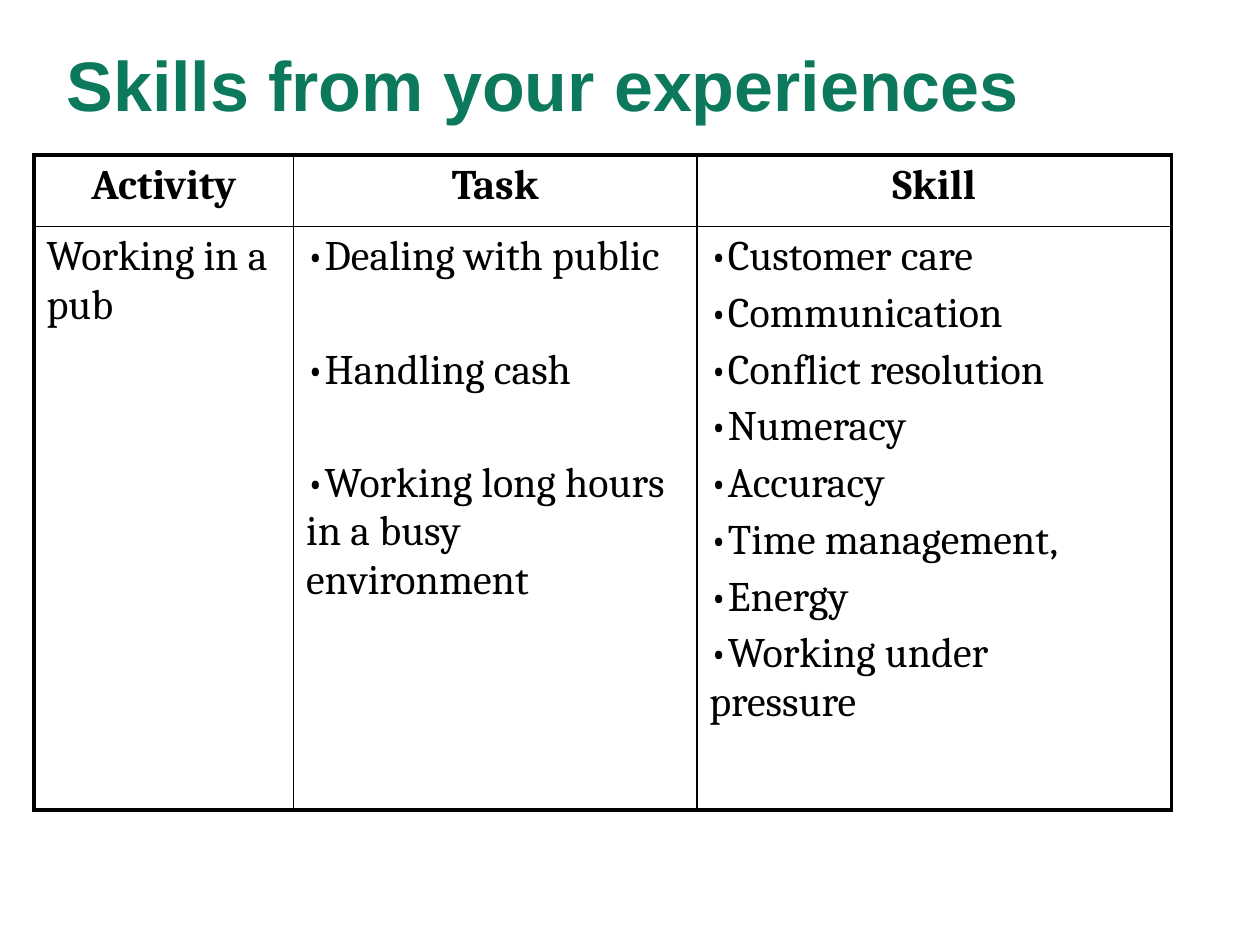
from lxml import etree
from pptx import Presentation
from pptx import util as u
from pptx.dml.color import RGBColor
from pptx.enum import text
from pptx.oxml import ns

WIDTH, HEIGHT = 10, 7.5
COLORS = {"title": "0C795D", "ink": "000000"}
OUTER, INNER = 2.25, 1

HEADINGS = ["Activity", "Task", "Skill"]
ACTIVITY = ["Working in a pub"]
TASKS = ["Dealing with public", "Handling cash",
         "Working long hours\vin a busy\venvironment"]
SKILLS = ["Customer care", "Communication", "Conflict resolution", "Numeracy",
          "Accuracy", "Time management,", "Energy", "Working under\vpressure"]


def write(para, content, size=24, font="Cambria", color="ink", bold=False,
          align=text.PP_ALIGN.LEFT, before=0, bullet=False):
    """Fill one paragraph; a vertical tab in the content breaks the line."""
    para.text = content
    para.alignment = align
    para.space_before = u.Pt(before)
    for span in para.runs:
        span.font.size = u.Pt(size)
        span.font.name = font
        span.font.bold = bold
        span.font.color.rgb = RGBColor.from_string(COLORS[color])
    if bullet:
        props = para._p.get_or_add_pPr()
        etree.SubElement(props, ns.qn("a:buFont"), typeface=font)
        etree.SubElement(props, ns.qn("a:buChar"), char="•")


class SlideBuilder:
    """Holds the deck, the current slide and the table style."""

    def __init__(self):
        self.deck = Presentation()
        self.deck.slide_width = u.Inches(WIDTH)
        self.deck.slide_height = u.Inches(HEIGHT)
        self.slide = self.deck.slides.add_slide(self.deck.slide_layouts[6])

    def area(self, left, top, width, height):
        """Turn shares of the slide's size into lengths."""
        across, down = self.deck.slide_width, self.deck.slide_height
        return [u.Emu(round(share * full)) for share, full in
                zip((left, top, width, height), (across, down, across, down))]

    def title(self, content, *shares):
        box = self.slide.shapes.add_textbox(*self.area(*shares))
        frame = box.text_frame
        frame.word_wrap = True
        frame.vertical_anchor = text.MSO_ANCHOR.TOP
        frame.margin_left = u.Inches(0.1)
        frame.margin_top = frame.margin_bottom = u.Inches(0.06)
        write(frame.paragraphs[0], content, size=40, font="Arial",
              color="title", bold=True)

    def table(self, columns, rows, *shares):
        """Add a plain ruled table; columns and rows weigh its tracks."""
        left, top, width, height = self.area(*shares)
        grid = self.slide.shapes.add_table(len(rows), len(columns),
                                           left, top, width, height).table
        grid.first_row = grid.horz_banding = False
        for column, weight in zip(grid.columns, columns):
            column.width = u.Emu(round(width * weight / sum(columns)))
        for row, weight in zip(grid.rows, rows):
            row.height = u.Emu(round(height * weight / sum(rows)))
        for r in range(len(rows)):
            for c in range(len(columns)):
                self.rule(grid.cell(r, c), {
                    "lnL": c == 0, "lnR": c == len(columns) - 1,
                    "lnT": r == 0, "lnB": r == len(rows) - 1})
        return grid

    def rule(self, cell, sides):
        """Draw the cell's four borders, heavier on the table's outside."""
        props = cell._tc.get_or_add_tcPr()
        for side, outside in sides.items():
            line = etree.SubElement(props, ns.qn("a:" + side),
                                    w=str(u.Pt(OUTER if outside else INNER)))
            fill = etree.SubElement(line, ns.qn("a:solidFill"))
            etree.SubElement(fill, ns.qn("a:srgbClr"), val=COLORS["ink"])
        cell.fill.background()

    def fill_cell(self, cell, lines, gap=4.8, **style):
        """Write the lines as paragraphs, with gap points between them."""
        frame = cell.text_frame
        for index, line in enumerate(lines):
            para = frame.add_paragraph() if index else frame.paragraphs[0]
            write(para, line, before=gap if index else 4.8, **style)


def main():
    builder = SlideBuilder()

    # Title
    builder.title("Skills from your experiences",
                  0.43 / WIDTH, 0.27 / HEIGHT, 0.9, 1.25 / HEIGHT)

    # Table frame
    grid = builder.table([2.06, 3.2, 3.77], [0.57, 4.63],
                         0.27 / WIDTH, 1.23 / HEIGHT, 9.03 / WIDTH, 5.2 / HEIGHT)

    # Heading row
    for column, heading in enumerate(HEADINGS):
        builder.fill_cell(grid.cell(0, column), [heading], bold=True,
                          align=text.PP_ALIGN.CENTER)

    # Experience row: the tasks stand apart, beside the skills they build
    builder.fill_cell(grid.cell(1, 0), ACTIVITY)
    builder.fill_cell(grid.cell(1, 1), TASKS, gap=37.2, bullet=True)
    builder.fill_cell(grid.cell(1, 2), SKILLS, bullet=True)

    builder.deck.save("out.pptx")


if __name__ == "__main__":
    main()
